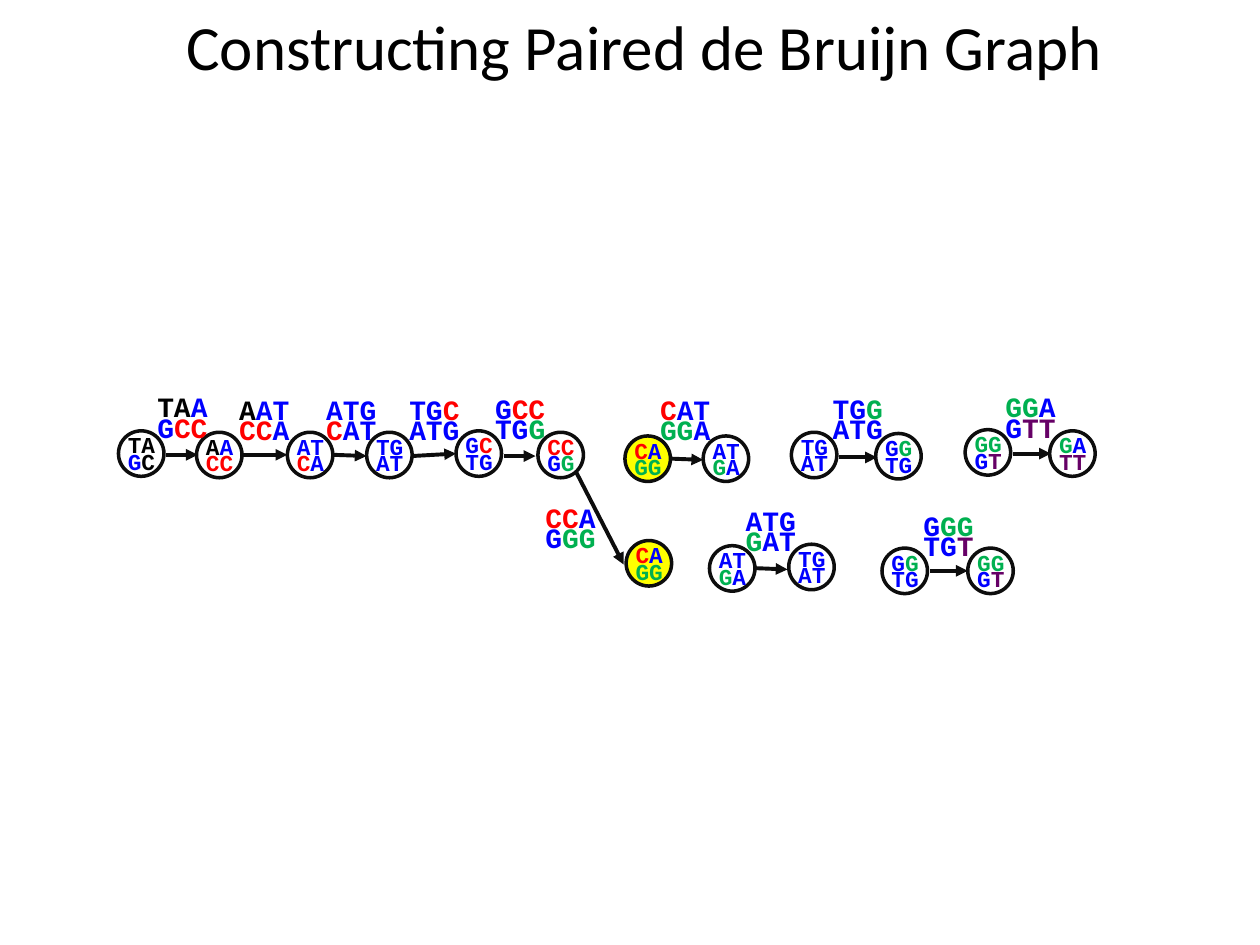
import itertools
import pptx
import pptx.util
import pptx.dml.color
import pptx.enum.shapes
import pptx.enum.text
import pptx.oxml
import pptx.oxml.ns
from pptx.util import Pt

RGBColor = pptx.dml.color.RGBColor
BLACK = RGBColor(0, 0, 0)
OUTLINE = RGBColor(0x0D, 0x0D, 0x0D)
YELLOW = RGBColor(0xFF, 0xFF, 0)
BASE_COLORS = {
    "k": BLACK,
    "b": RGBColor(0, 0, 0xFF),
    "r": RGBColor(0xFF, 0, 0),
    "g": RGBColor(0, 0xB0, 0x50),
    "p": RGBColor(0x66, 0, 0x66),
}

TITLE = "Constructing Paired de Bruijn Graph"

# lines, letter colours, left, top, fill
NODES = [
    ("TA GC", "kk bk", 67.7, 246.2, None),
    ("AA CC", "kb rr", 112.3, 247, None),
    ("AT CA", "bb rb", 164.2, 247, None),
    ("TG AT", "bb bb", 209.5, 247, None),
    ("GC TG", "br bb", 260.6, 246.2, None),
    ("CC GG", "rr bg", 307.4, 247, None),
    ("CA GG", "rb gg", 357.8, 308.9, YELLOW),
    ("CA GG", "rb gg", 357.1, 249.1, YELLOW),
    ("AT GA", "bb gb", 401.8, 249.1, None),
    ("AT GA", "bb gb", 405.4, 311.8, None),
    ("TG AT", "bb bb", 450.7, 311, None),
    ("TG AT", "bb bb", 452.2, 247, None),
    ("GG TG", "bg bb", 500.4, 247.7, None),
    ("GG TG", "bg bb", 504, 313.2, None),
    ("GG GT", "gg bp", 553, 313.2, None),
    ("GG GT", "gg bp", 551.5, 245.5, None),
    ("GA TT", "gb pp", 599.8, 246.2, None),
]

EDGES = [
    ("TAA GCC", "kkb brr", (82.8, 226.1), (95, 259.9), (113, 259.9)),
    ("AAT CCA", "kbb rrb", (129.6, 227.5), (138.2, 259.9), (164.2, 259.9)),
    ("ATG CAT", "bbb rbb", (179.3, 227.5), (190.1, 259.9), (209.5, 260.6)),
    ("TGC ATG", "bbr bbb", (226.8, 227.5), (235.4, 260.6), (260.6, 259.2)),
    ("GCC TGG", "brr bbg", (275.8, 226.8), (288, 260.6), (306, 260.6)),
    ("CCA GGG", "rrb bgg", (304.6, 289.4), (329, 269.3), (356.4, 322.6)),
    ("CAT GGA", "rbb ggb", (370.1, 227.5), (383.8, 262.1), (401.8, 262.8)),
    ("ATG GAT", "bbb gbb", (419, 290.9), (432, 324.7), (450, 325.4)),
    ("TGG ATG", "bbg bbb", (468.7, 226.8), (479.5, 261.4), (501.1, 261.4)),
    ("GGG TGT", "bgg bbp", (520.6, 293.8), (531.4, 326.2), (553, 326.2)),
    ("GGA GTT", "ggb bpp", (567.4, 226.1), (578.9, 259.2), (600.5, 259.2)),
]

DIAMETER = 26
NODE_TEXT_SHIFT = (-1.7, 2.2)
NODE_TEXT = (30.3, 26, 13)
EDGE_TEXT = (44, 30.2, 16)


def add_bases(page, lines, colors, left, top, style):
    width, height, size = style
    box = page.shapes.add_textbox(Pt(left), Pt(top), Pt(width), Pt(height))
    frame = box.text_frame
    frame.word_wrap = False
    frame.auto_size = pptx.enum.text.MSO_AUTO_SIZE.SHAPE_TO_FIT_TEXT
    for index, (line, codes) in enumerate(zip(lines.split(), colors.split())):
        para = frame.add_paragraph() if index else frame.paragraphs[0]
        para.line_spacing = 0.6
        para.font.name = "Courier New"
        para.font.size = Pt(size)
        para.font.bold = True
        for code, pairs in itertools.groupby(zip(line, codes), lambda pair: pair[1]):
            span = para.add_run()
            span.text = "".join(letter for letter, _ in pairs)
            span.font.color.rgb = BASE_COLORS[code]


def add_node(page, lines, colors, left, top, fill):
    circle = page.shapes.add_shape(
        pptx.enum.shapes.MSO_SHAPE.OVAL, Pt(left), Pt(top), Pt(DIAMETER), Pt(DIAMETER))
    circle.shadow.inherit = False
    if fill is None:
        circle.fill.background()
    else:
        circle.fill.solid()
        circle.fill.fore_color.rgb = fill
    circle.line.color.rgb = OUTLINE
    circle.line.width = Pt(2)
    shift_x, shift_y = NODE_TEXT_SHIFT
    add_bases(page, lines, colors, left + shift_x, top + shift_y, NODE_TEXT)


def add_edge(page, lines, colors, label, start, end):
    arrow = page.shapes.add_connector(
        pptx.enum.shapes.MSO_CONNECTOR.STRAIGHT, *map(Pt, start + end))
    arrow.line.color.rgb = OUTLINE
    arrow.line.width = Pt(2.25)
    head = pptx.oxml.parse_xml(
        "<a:tailEnd %s type='triangle'/>" % pptx.oxml.ns.nsdecls("a"))
    arrow.line._get_or_add_ln().append(head)
    effects = pptx.oxml.parse_xml("<a:effectLst %s/>" % pptx.oxml.ns.nsdecls("a"))
    arrow._element.spPr.append(effects)
    add_bases(page, lines, colors, *label, EDGE_TEXT)


def add_title(page):
    box = page.shapes.add_textbox(Pt(5), Pt(0.7), Pt(726.5), Pt(51))
    box.text_frame.word_wrap = True
    box.text_frame.auto_size = pptx.enum.text.MSO_AUTO_SIZE.SHAPE_TO_FIT_TEXT
    para = box.text_frame.paragraphs[0]
    para.text = TITLE
    para.alignment = pptx.enum.text.PP_ALIGN.CENTER
    para.font.name = "Calibri"
    para.font.size = Pt(36)
    para.font.color.rgb = BLACK


def main():
    deck = pptx.Presentation()
    deck.slide_width, deck.slide_height = Pt(720), Pt(540)
    page = deck.slides.add_slide(deck.slide_layouts[6])
    add_title(page)
    for node in NODES:
        add_node(page, *node)
    for edge in EDGES:
        add_edge(page, *edge)
    deck.save("out.pptx")


if __name__ == "__main__":
    main()
